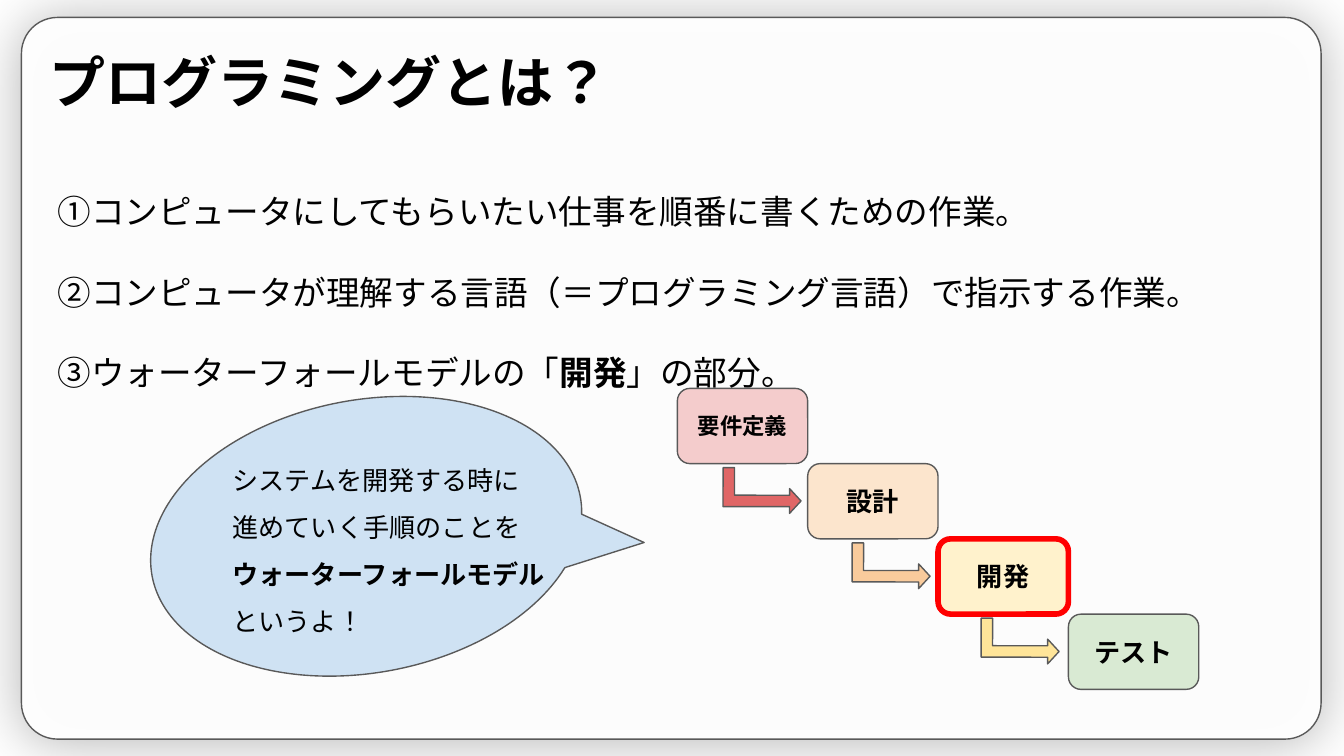
"""Builds a slide that explains programming and its place in the waterfall model."""
import lxml.etree
import pptx
import pptx.dml.color
import pptx.enum.lang
import pptx.enum.shapes
import pptx.enum.text
import pptx.oxml.ns
import pptx.util

Inches = pptx.util.Inches
Pt = pptx.util.Pt
RGB = pptx.dml.color.RGBColor.from_string
SHAPE = pptx.enum.shapes.MSO_SHAPE
ANCHOR = pptx.enum.text.MSO_ANCHOR
ALIGN = pptx.enum.text.PP_ALIGN
qn = pptx.oxml.ns.qn

COLORS = {
    "text": "000000", "card": "FFFFFF", "outline": "595959",
    "highlight": "FF0000", "callout": "CFE2F3",
    "requirements": "F4CCCC", "design": "FCE5CD",
    "development": "FFF2CC", "test": "D9EAD3",
    "red_arrow": "E06666", "orange_arrow": "F9CB9C", "yellow_arrow": "FFE599",
}


def write(frame, lines, size, spacing=1.0, align=ALIGN.LEFT, anchor=ANCHOR.TOP, left=0.1):
    frame.word_wrap = True
    frame.auto_size = pptx.enum.text.MSO_AUTO_SIZE.NONE
    frame.vertical_anchor = anchor
    frame.margin_left = Inches(left)
    frame.margin_right = frame.margin_top = frame.margin_bottom = Inches(0.1)
    for index, line in enumerate(lines):
        paragraph = frame.add_paragraph() if index else frame.paragraphs[0]
        paragraph.alignment = align
        paragraph.line_spacing = spacing
        for text, bold in line:
            run = paragraph.add_run()
            run.text = text
            run.font.name = "Arial"
            run.font.size = Pt(size)
            run.font.bold = bold
            run.font.color.rgb = RGB(COLORS["text"])
            run.font.language_id = pptx.enum.lang.MSO_LANGUAGE_ID.JAPANESE


def draw(kind, box, fill, adjustments, line="outline", width=0.75, rotation=0):
    shape = slide.shapes.add_shape(kind, *map(Inches, box))
    shape.shadow.inherit = False
    shape.rotation = rotation
    shape.fill.solid()
    shape.fill.fore_color.rgb = RGB(COLORS[fill])
    shape.line.color.rgb = RGB(COLORS[line])
    shape.line.width = Pt(width)
    for index, value in enumerate(adjustments):
        shape.adjustments[index] = value
    return shape


deck = pptx.Presentation()
deck.slide_width = Inches(10)
deck.slide_height = deck.slide_width * 9 // 16
slide = deck.slides.add_slide(deck.slide_layouts[5])

card = draw(SHAPE.ROUNDED_RECTANGLE, (0.16, 0.13, 9.67, 5.37), "card", [0.05])
slide.shapes._spTree.insert(2, card._element)
properties = card._element.spPr
card_color = properties.find(qn("a:solidFill")).find(qn("a:srgbClr"))
lxml.etree.SubElement(card_color, qn("a:alpha"), val="96000")
shadow = lxml.etree.SubElement(
    properties.find(qn("a:effectLst")), qn("a:outerShdw"),
    blurRad=str(Pt(31.5)), dist=str(Pt(1.5)), dir="5400000", algn="bl", rotWithShape="0")
shadow_color = lxml.etree.SubElement(shadow, qn("a:srgbClr"), val=COLORS["text"])
lxml.etree.SubElement(shadow_color, qn("a:alpha"), val="30000")

title = slide.shapes.title
title.left, title.top, title.width, title.height = map(Inches, (0.27, 0.25, 4.37, 0.73))
write(title.text_frame, [[("プログラミングとは？", True)]], 30)

definitions = slide.shapes.add_textbox(*map(Inches, (0.33, 1.02, 9.39, 1.68)))
write(definitions.text_frame, [
    [("①コンピュータにしてもらいたい仕事を順番に書くための作業。", False)],
    [("②コンピュータが理解する言語（＝プログラミング言語）で指示する作業。", False)],
    [("③ウォーターフォールモデルの「", False), ("開発", True), ("」の部分。", False)],
], 18, spacing=2.0)

draw(SHAPE.OVAL_CALLOUT, (1.71, 2.37, 2.03, 3.24), "callout", [-0.208, 0.625], rotation=259.5)
explanation = slide.shapes.add_textbox(*map(Inches, (1.44, 3.24, 2.94, 1.51)))
write(explanation.text_frame, [
    [("システムを開発する時に", False)],
    [("進めていく手順のことを", False)],
    [("ウォーターフォールモデル", True)],
    [("というよ！", False)],
], 14, spacing=1.5, left=0.29)

phases = [
    ("要件定義", 12, "requirements", "outline", 0.75),
    ("設計", 14, "design", "outline", 0.75),
    ("開発", 14, "development", "highlight", 3),
    ("テスト", 14, "test", "outline", 0.75),
]
for step, (name, size, fill, line, width) in enumerate(phases):
    phase = draw(SHAPE.ROUNDED_RECTANGLE, (5.04 + 0.97 * step, 2.89 + 0.56 * step, 0.97, 0.56),
                 fill, [0.167], line, width)
    write(phase.text_frame, [[(name, True)]], size, align=ALIGN.CENTER, anchor=ANCHOR.MIDDLE)

for step, fill in enumerate(["red_arrow", "orange_arrow", "yellow_arrow"]):
    draw(SHAPE.BENT_UP_ARROW, (5.5 + 0.96 * step, 3.36 + 0.56 * step, 0.34, 0.58),
         fill, [0.25, 0.271, 0.25], rotation=90.1)

deck.save("out.pptx")
